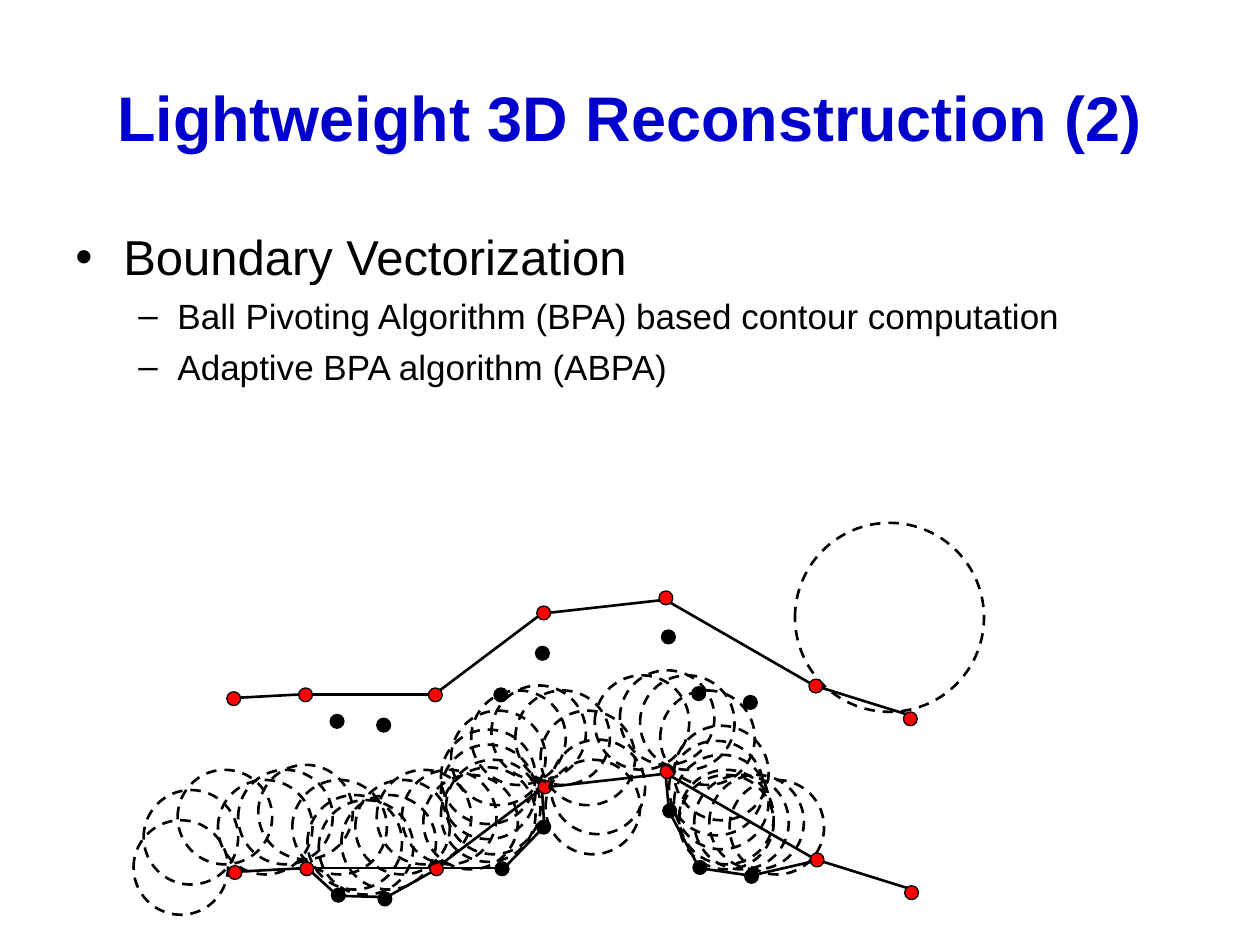
from itertools import pairwise

from lxml import etree
from pptx import Presentation
from pptx.dml.color import RGBColor
from pptx.enum.dml import MSO_LINE
from pptx.enum.shapes import MSO_CONNECTOR, MSO_SHAPE
from pptx.enum.text import MSO_ANCHOR, PP_ALIGN
from pptx.oxml.ns import qn
from pptx.util import Emu, Pt

PX = 9144  # 100 px to the inch
STRAIGHT, OVAL, DASH = MSO_CONNECTOR.STRAIGHT, MSO_SHAPE.OVAL, MSO_LINE.DASH
COLORS = {"title": "0000CC", "ink": "000000", "vertex": "FF0000"}
FONT = "Arial"

TITLE = "Lightweight 3D Reconstruction (2)"
BODY = [
    (0, "Boundary Vectorization"),
    (1, "Ball Pivoting Algorithm (BPA) based contour computation"),
    (1, "Adaptive BPA algorithm (ABPA)"),
]
LEVELS = [
    {"size": 28, "before": 7, "margin": 38, "indent": -38, "bullet": "•"},
    {"size": 20, "before": 5, "margin": 81, "indent": -31, "bullet": "–"},
]

# The upper contour is repeated below, shifted by this much
LOWER_SHIFT = (1, 138)
CONTOUR = [(185, 554), (241, 551), (345, 551), (430, 487), (528, 476),
           (646, 544), (723, 568)]
DETOURS = [
    [(244, 689), (268, 711), (307, 712), (348, 689)],
    [(345, 689), (400, 689), (432, 656), (430, 624)],
    [(528, 612), (531, 644), (555, 689), (596, 695), (648, 683)],
]

# Left and top of each point and ball
DOT_SIZE, BALL_SIZE, LARGE_BALL_SIZE = 11, 75, 150
POINTS = {
    "ink": [(262, 567), (299, 570), (392, 546), (425, 513), (525, 500),
            (549, 545), (590, 552)],
    "vertex": [(180, 549), (237, 546), (340, 546), (426, 481), (523, 469),
               (642, 539), (717, 565)],
}
LARGE_BALL = (631, 415)
BALLS = [
    (106, 651), (114, 627), (141, 611), (173, 619), (189, 611), (205, 607),
    (232, 619), (244, 631), (253, 635), (271, 631), (282, 619), (299, 611),
    (319, 611), (336, 615), (350, 609), (354, 603), (350, 591), (350, 579),
    (358, 564), (374, 548), (390, 544), (409, 548), (429, 564), (437, 587),
    (433, 603), (472, 536), (492, 532), (508, 536), (524, 548), (535, 576),
    (531, 588), (535, 599), (539, 611), (539, 615), (551, 615), (563, 615),
    (579, 619),
]


def px(length):
    return Emu(round(length * PX))


def rgb(name):
    return RGBColor.from_string(COLORS[name])


def lowered(points):
    dx, dy = LOWER_SHIFT
    return [(x + dx, y + dy) for x, y in points]


def add_chain(shapes, points):
    """Join consecutive points with straight lines."""
    for start, end in pairwise(points):
        segment = shapes.add_connector(STRAIGHT, *map(px, start + end))
        segment.line.color.rgb = rgb("ink")
        segment.line.width = Pt(1.5)
        etree.SubElement(segment._element.spPr, qn("a:effectLst"))


def add_circle(shapes, corner, size, fill=None):
    """Draw a filled dot, or a dashed ball when there is no fill."""
    circle = shapes.add_shape(OVAL, *map(px, (*corner, size, size)))
    circle.shadow.inherit = False
    circle.line.color.rgb = rgb("ink")
    if fill:
        circle.fill.solid()
        circle.fill.fore_color.rgb = rgb(fill)
        circle.line.width = Pt(0.75)
    else:
        circle.fill.background()
        circle.line.width = Pt(1.5)
        circle.line.dash_style = DASH


def add_frame(shapes, box, anchor):
    frame = shapes.add_textbox(*map(px, box)).text_frame
    frame.word_wrap = True
    frame.vertical_anchor = anchor
    return frame


def write(paragraph, text, color, size, bold=False):
    run = paragraph.add_run()
    run.text = text
    run.font.color.rgb = rgb(color)
    formats = {"name": FONT, "size": Pt(size), "bold": bold}
    for attribute, value in formats.items():
        setattr(run.font, attribute, value)


def add_bullet(paragraph, level):
    properties = paragraph._p.get_or_add_pPr()
    for attribute, key in {"marL": "margin", "indent": "indent"}.items():
        properties.set(attribute, str(px(level[key])))
    etree.SubElement(properties, qn("a:buFont"), typeface=FONT)
    etree.SubElement(properties, qn("a:buChar"), char=level["bullet"])


def add_texts(shapes):
    heading = add_frame(shapes, (50, 30, 900, 125), MSO_ANCHOR.MIDDLE).paragraphs[0]
    heading.alignment = PP_ALIGN.CENTER
    write(heading, TITLE, "title", 36, bold=True)

    body = add_frame(shapes, (50, 175, 842, 495), MSO_ANCHOR.TOP)
    for index, (depth, text) in enumerate(BODY):
        paragraph = body.add_paragraph() if index else body.paragraphs[0]
        level = LEVELS[depth]
        paragraph.level = depth
        paragraph.space_before = Pt(level["before"])
        add_bullet(paragraph, level)
        write(paragraph, text, "ink", level["size"])


def main():
    deck = Presentation()
    deck.slide_width, deck.slide_height = px(1000), px(750)
    shapes = deck.slides.add_slide(deck.slide_layouts[6]).shapes

    add_texts(shapes)
    add_circle(shapes, LARGE_BALL, LARGE_BALL_SIZE)
    for chain in [CONTOUR, lowered(CONTOUR), *DETOURS]:
        add_chain(shapes, chain)
    for color, points in POINTS.items():
        for corner in points + lowered(points):
            add_circle(shapes, corner, DOT_SIZE, color)
    for corner in BALLS:
        add_circle(shapes, corner, BALL_SIZE)

    deck.save("out.pptx")


if __name__ == "__main__":
    main()
